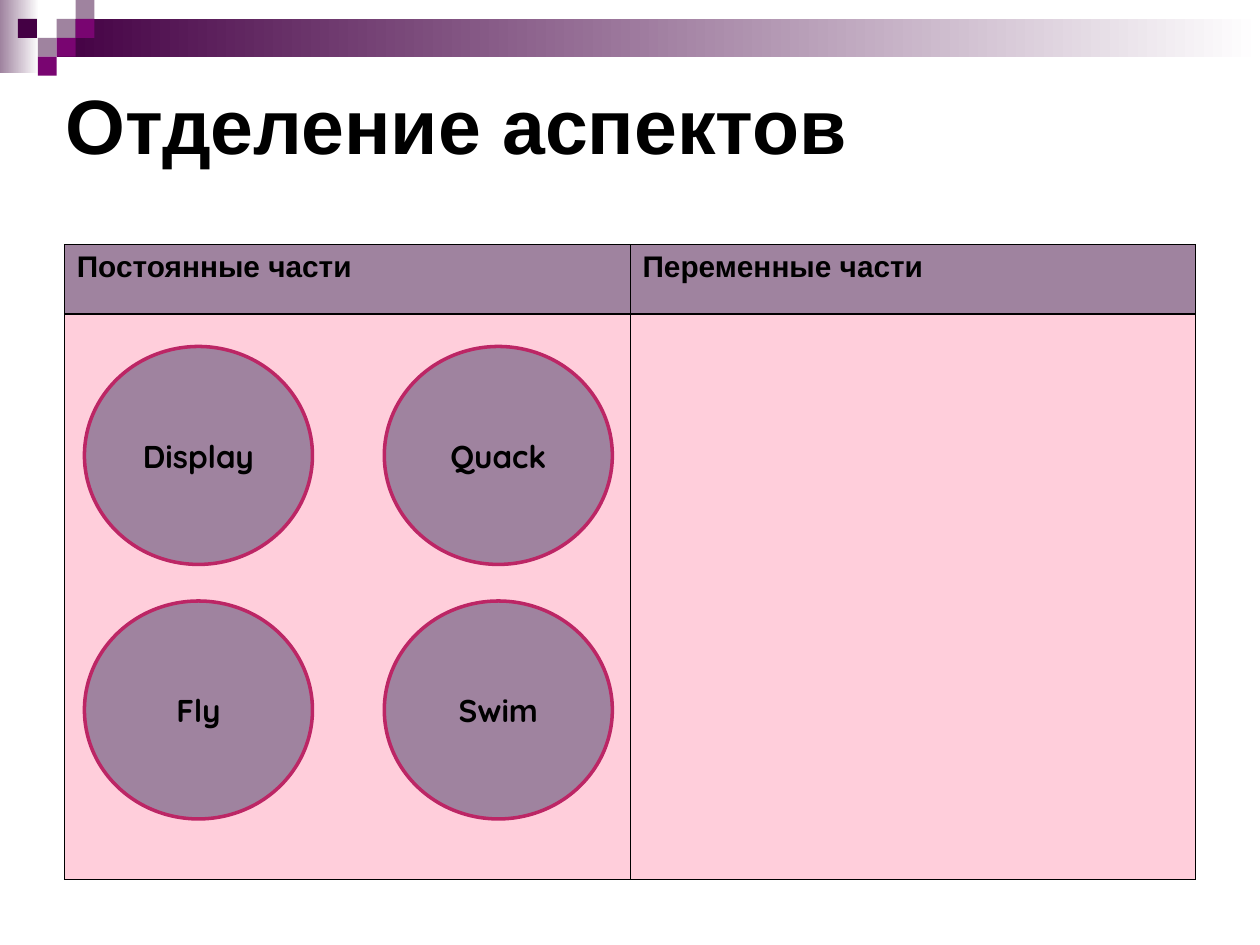
from lxml.etree import SubElement
from pptx import Presentation
from pptx.dml.color import RGBColor
from pptx.enum.shapes import MSO_SHAPE as Shape
from pptx.enum.text import MSO_ANCHOR as Anchor, MSO_AUTO_SIZE as AutoSize, PP_ALIGN as Align
from pptx.oxml import parse_xml
from pptx.oxml.ns import nsdecls, qn
from pptx.util import Inches, Pt

COLORS = {
    "white": "FFFFFF", "black": "000000", "mauve": "9F839F",
    "plum": "440044", "violet": "790571", "pink": "FFCEDB", "crimson": "BC2665",
}
TILE = 0.15  # side of one square of the corner mosaic
THIN, THICK = 0.45, 1.47  # table rules in points


def rgb(name):
    return RGBColor.from_string(COLORS[name])


def write(frame, text, *, size, font="Arial", align=Align.LEFT,
          anchor=Anchor.TOP, spacing=None):
    """Put one bold black line of text into a text frame."""
    frame.word_wrap = True
    frame.vertical_anchor = anchor
    line = frame.paragraphs[0]
    line.alignment = align
    line.line_spacing = spacing
    run = line.add_run()
    run.text = text
    run.font.size, run.font.name, run.font.bold = Pt(size), font, True
    run.font.color.rgb = rgb("black")


def add_block(slide, kind, box, color, fade=False):
    """Add a flat shape, or one that fades to white on its right."""
    block = slide.shapes.add_shape(kind, *map(Inches, box))
    block.shadow.inherit = False
    block.line.fill.background()
    if fade:
        block.fill.gradient()
        block.fill.gradient_angle = 0
        for stop, name in zip(block.fill.gradient_stops, (color, "white")):
            stop.color.rgb = rgb(name)
    else:
        block.fill.solid()
        block.fill.fore_color.rgb = rgb(color)
    return block


def add_banner(slide):
    add_block(slide, Shape.RECTANGLE, (0, 0, 0.31, 0.58), "mauve", fade=True)
    add_block(slide, Shape.RECTANGLE, (0.45, TILE, 9.55, 2 * TILE), "plum", fade=True)
    # Mosaic tiles as (column, row, color)
    for column, row, color in (
        (3, 1, "mauve"), (4, 0, "mauve"), (4, 1, "violet"), (2, 2, "mauve"),
        (0.95, 1, "plum"), (3, 2, "violet"), (2, 3, "violet"),
    ):
        add_block(slide, Shape.RECTANGLE, (column * TILE, row * TILE, TILE, TILE), color)


def add_title(slide, text):
    title = slide.shapes.title
    title.left, title.top, title.width, title.height = map(Inches, (0.5, 0.5, 9.5, 1.12))
    frame = title.text_frame
    frame.auto_size = AutoSize.NONE
    frame.margin_left = frame.margin_right = Inches(0.02)
    frame.margin_top = frame.margin_bottom = Inches(0.01)
    write(frame, text, size=44, anchor=Anchor.MIDDLE, spacing=0.75)


def set_borders(cell, **widths):
    """Draw black borders; widths in points keyed by L, R, T, B in schema order."""
    properties = cell._tc.get_or_add_tcPr()
    for index, (side, width) in enumerate(widths.items()):
        border = parse_xml(f'<a:ln{side} {nsdecls("a")} w="{Pt(width)}"/>')
        fill = SubElement(border, qn("a:solidFill"))
        SubElement(fill, qn("a:srgbClr"), val=COLORS["black"])
        properties.insert(index, border)


def add_parts_table(slide, headings):
    table = slide.shapes.add_table(
        2, len(headings), *map(Inches, (0.51, 1.94, 8.98, 5.04))).table
    table.horz_banding = table.first_row = False
    table.rows[0].height, table.rows[1].height = Inches(0.55), Inches(4.49)
    for column, heading in enumerate(headings):
        header, body = table.cell(0, column), table.cell(1, column)
        write(header.text_frame, heading, size=17)
        for cell, color, top, bottom in (
            (header, "mauve", THIN, THICK), (body, "pink", THICK, THIN),
        ):
            cell.fill.solid()
            cell.fill.fore_color.rgb = rgb(color)
            set_borders(cell, L=THIN, R=THIN, T=top, B=bottom)


def add_behaviours(slide, grid):
    """Lay out the behaviour circles on a grid of rows."""
    for row, names in enumerate(grid):
        for column, name in enumerate(names):
            box = (0.67 + column * 2.38, 2.75 + row * 2.02, 1.81, 1.73)
            circle = add_block(slide, Shape.FLOWCHART_CONNECTOR, box, "mauve")
            circle.line.color.rgb = rgb("crimson")
            circle.line.width = Pt(2)
            write(circle.text_frame, name, size=18, font="Quicksand",
                  align=Align.CENTER, anchor=Anchor.MIDDLE)


def main():
    deck = Presentation()
    deck.slide_width, deck.slide_height = Inches(10), Inches(7.5)
    slide = deck.slides.add_slide(deck.slide_layouts[5])
    add_banner(slide)
    add_title(slide, "Отделение аспектов")
    add_parts_table(slide, ("Постоянные части", "Переменные части"))
    add_behaviours(slide, (("Display", "Quack"), ("Fly", "Swim")))
    deck.save("out.pptx")


if __name__ == "__main__":
    main()
